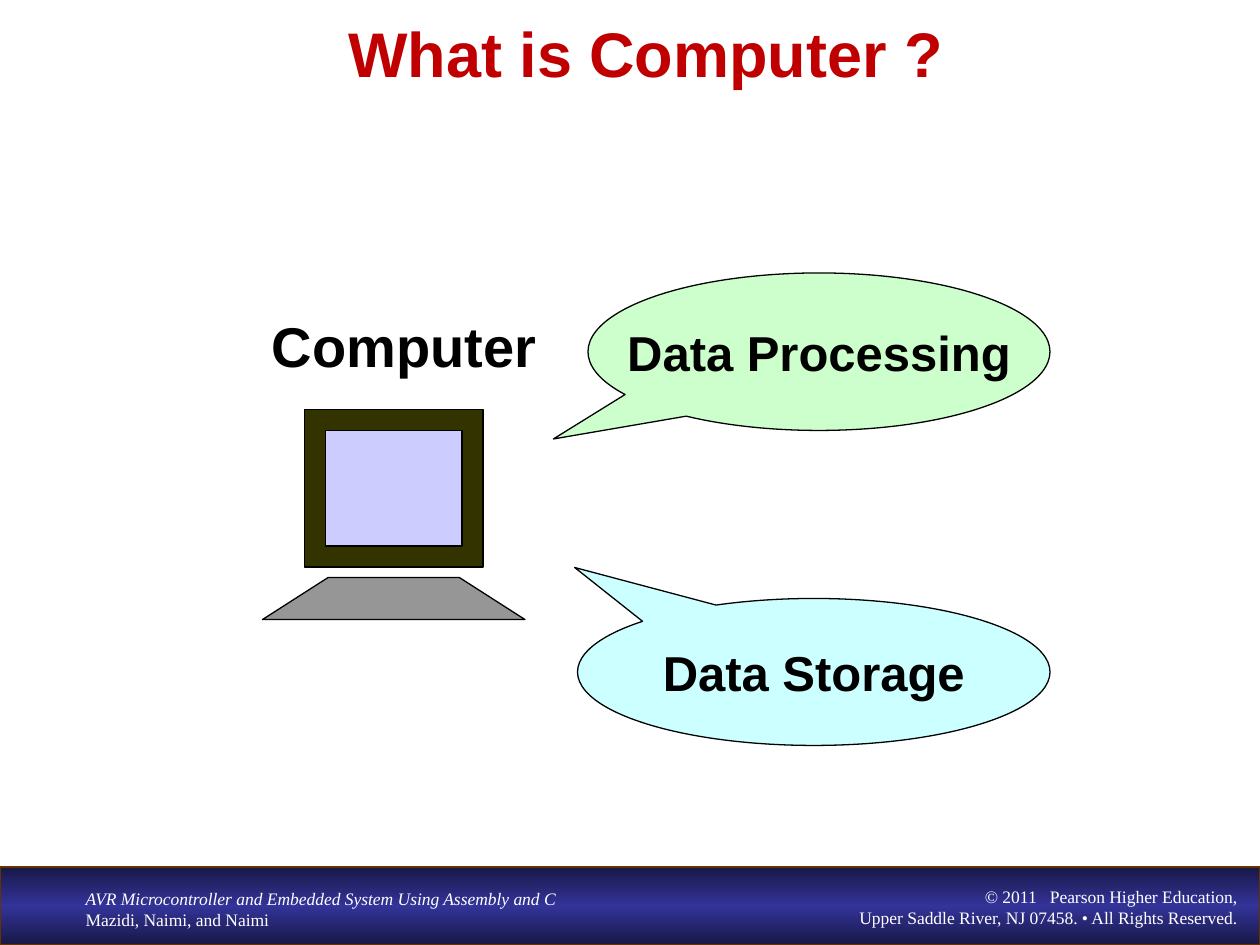
"""Build the "What is Computer ?" slide with a computer drawing and two callouts."""
from copy import deepcopy

from pptx import Presentation
from pptx.dml.color import RGBColor
from pptx.enum.shapes import MSO_SHAPE as Shape
from pptx.enum.text import MSO_ANCHOR as Anchor, PP_ALIGN as Align
from pptx.oxml.ns import qn
from pptx.util import Pt

COLORS = {
    "title": "C00000", "black": "000000", "white": "FFFFFF",
    "bar_edge": "181847", "bar_middle": "333399", "bar_line": "663300",
    "case": "333300", "screen": "CCCCFF", "keyboard": "969696",
    "processing": "CCFFCC", "storage": "CCFFFF",
}
SLIDE_SIZE = (720, 540)
BAR_BOX = (0, 495.4, 720, 44.6)
BAR_STOPS = [(0, "bar_edge"), (0.5, "bar_middle"), (1, "bar_edge")]

TITLE = ("What is Computer ?", (72, 5, 594, 50.4))
LABEL = ("Computer", (138, 174.2, 186, 46))
BOOK = [("AVR Microcontroller and Embedded System Using Assembly and C", True),
        ("Mazidi, Naimi, and Naimi", False)]
BOOK_BOX = (41.8, 504, 298, 31.7)
COPYRIGHT = ["© 2011   Pearson Higher Education,",
             "Upper Saddle River, NJ 07458. • All Rights Reserved."]
COPYRIGHT_BOX = (414, 502.6, 300, 31.7)

MONITOR = [("case", (174, 234, 102, 90)), ("screen", (186, 246, 78, 66))]
KEYBOARD = [(150, 354), (187.5, 330), (262.5, 330), (300, 354)]
CALLOUTS = [
    ("Data Processing", "processing", (336, 156, 264, 90), (-0.575, 0.554)),
    ("Data Storage", "storage", (330, 342, 270, 84), (-0.506, -0.711)),
]


def color(name):
    return RGBColor.from_string(COLORS[name])


def points(box):
    return [Pt(value) for value in box]


def outline(shape, line="black"):
    shape.shadow.inherit = False
    shape.line.color.rgb = color(line)
    shape.line.width = Pt(0.75)


def paint(shape, fill):
    shape.fill.solid()
    shape.fill.fore_color.rgb = color(fill)
    outline(shape)


def add_run(paragraph, text, size, ink="black", name="Arial", bold=True, italic=False):
    run = paragraph.add_run()
    run.text = text
    font = run.font
    font.name, font.size, font.bold, font.italic = name, Pt(size), bold, italic
    font.color.rgb = color(ink)


def add_text_frame(shapes, box):
    frame = shapes.add_textbox(*points(box)).text_frame
    frame.word_wrap = True
    return frame


def add_heading(shapes, text, box, size, ink="black"):
    paragraph = add_text_frame(shapes, box).paragraphs[0]
    paragraph.alignment = Align.CENTER
    add_run(paragraph, text, size, ink)


def add_footer(shapes):
    bar = shapes.add_shape(Shape.RECTANGLE, *points(BAR_BOX))
    outline(bar, "bar_line")
    bar.fill.gradient()
    bar.fill.gradient_angle = 90
    stop_list = bar.element.spPr.find(".//" + qn("a:gsLst"))
    stop_list.append(deepcopy(stop_list[0]))
    for stop, (position, name) in zip(bar.fill.gradient_stops, BAR_STOPS):
        stop.position = position
        stop.color.rgb = color(name)

    small = {"size": 10, "ink": "white", "name": "Times New Roman", "bold": False}
    frame = add_text_frame(shapes, BOOK_BOX)
    for index, (text, italic) in enumerate(BOOK):
        paragraph = frame.add_paragraph() if index else frame.paragraphs[0]
        add_run(paragraph, text, italic=italic, **small)

    paragraph = add_text_frame(shapes, COPYRIGHT_BOX).paragraphs[0]
    paragraph.alignment = Align.RIGHT
    for index, text in enumerate(COPYRIGHT):
        if index:
            paragraph.add_line_break()
        add_run(paragraph, text, **small)


def add_computer(shapes):
    computer = shapes.add_group_shape().shapes
    add_heading(computer, *LABEL, size=32)
    for fill, box in MONITOR:
        paint(computer.add_shape(Shape.RECTANGLE, *points(box)), fill)
    corners = [points(corner) for corner in KEYBOARD]
    builder = computer.build_freeform(*corners[0])
    builder.add_line_segments(corners[1:], close=True)
    paint(builder.convert_to_shape(), "keyboard")


def add_callout(shapes, text, fill, box, tip):
    callout = shapes.add_shape(Shape.OVAL_CALLOUT, *points(box))
    for index, offset in enumerate(tip):
        callout.adjustments[index] = offset
    paint(callout, fill)
    frame = callout.text_frame
    frame.word_wrap = False
    frame.vertical_anchor = Anchor.MIDDLE
    paragraph = frame.paragraphs[0]
    paragraph.alignment = Align.CENTER
    add_run(paragraph, text, 28)


def main():
    presentation = Presentation()
    presentation.slide_width, presentation.slide_height = points(SLIDE_SIZE)
    shapes = presentation.slides.add_slide(presentation.slide_layouts[6]).shapes
    add_footer(shapes)
    add_computer(shapes)
    for callout in CALLOUTS:
        add_callout(shapes, *callout)
    add_heading(shapes, *TITLE, size=36, ink="title")
    presentation.save("out.pptx")


if __name__ == "__main__":
    main()
